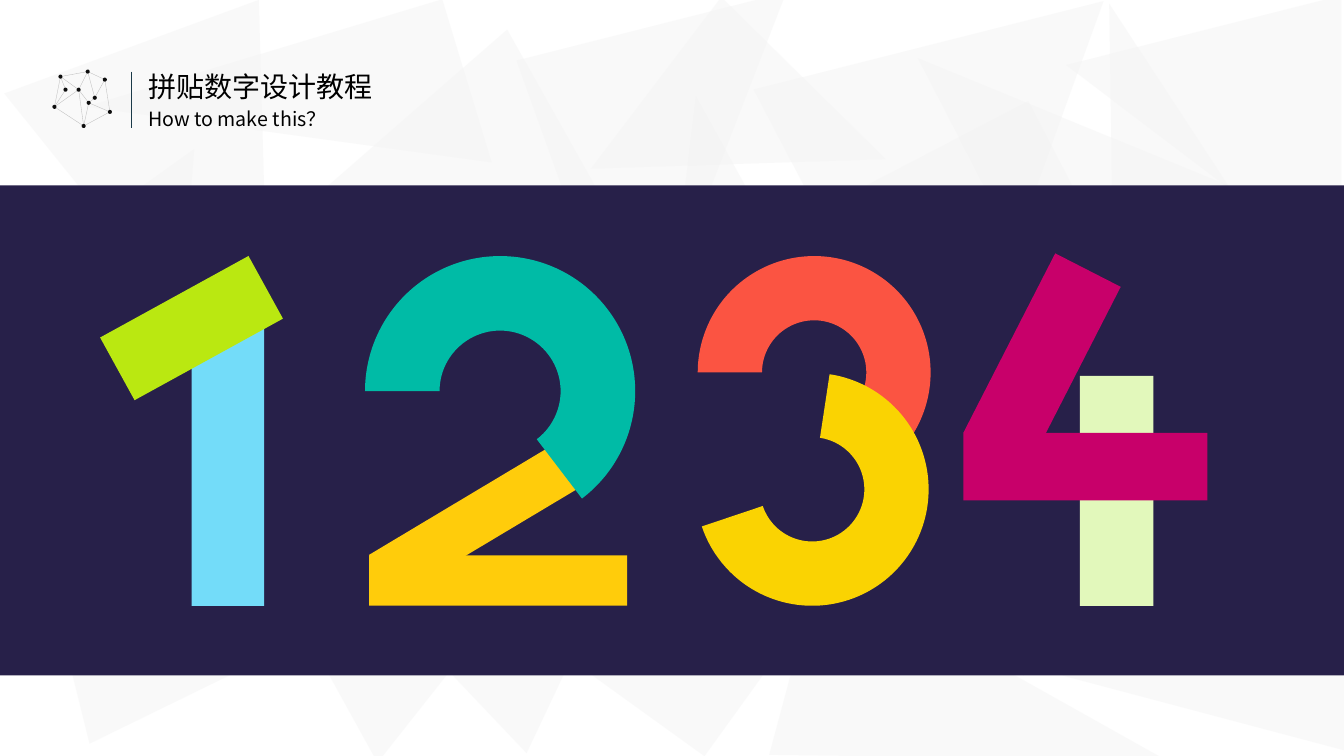
import pptx
import pptx.dml.color
import pptx.enum.shapes
import pptx.enum.text
import pptx.oxml.ns
import pptx.util
from lxml import etree

Inches = pptx.util.Inches
Pt = pptx.util.Pt
Kind = pptx.enum.shapes.MSO_SHAPE
qn = pptx.oxml.ns.qn


def color(code):
    return pptx.dml.color.RGBColor.from_string(code)


class Deck:
    font = "Noto Sans CJK SC"
    ink = "000000"

    def __init__(self, slide):
        self.slide = slide
        self.shapes = slide.shapes

    def group(self):
        """Put the next elements into a new group."""
        self.shapes = self.slide.shapes.add_group_shape().shapes

    def top(self):
        """Put the next elements straight on the slide."""
        self.shapes = self.slide.shapes

    def shape(self, kind, box, fill, turn=0, adj=(), alpha=None):
        item = self.shapes.add_shape(kind, *map(Inches, box))
        item.shadow.inherit = False
        item.rotation = turn
        item.fill.solid()
        item.fill.fore_color.rgb = color(fill)
        item.line.fill.background()
        for i, value in enumerate(adj):
            item.adjustments[i] = value
        if alpha is not None:
            tint = item.fill._xPr.find(".//" + qn("a:srgbClr"))
            etree.SubElement(tint, qn("a:alpha")).set("val", str(alpha * 1000))
        return item

    def rect(self, box, fill, turn=0):
        return self.shape(Kind.RECTANGLE, box, fill, turn)

    def arc(self, left, top, size, fill, start, end, turn=0):
        """Draw a ring part between two angles in degrees."""
        adj = (start * 0.6, end * 0.6, 0.276)
        return self.shape(Kind.BLOCK_ARC, (left, top, size, size), fill, turn, adj)

    def line(self, start, end, tone, width):
        item = self.shapes.add_connector(
            pptx.enum.shapes.MSO_CONNECTOR.STRAIGHT, *map(Inches, start + end))
        item.line.color.rgb = color(tone)
        item.line.width = Pt(width)
        etree.SubElement(item._element.spPr, qn("a:effectLst"))
        return item

    def text(self, words, box, size):
        item = self.shapes.add_textbox(*map(Inches, box))
        frame = item.text_frame
        frame.word_wrap = False
        frame.auto_size = pptx.enum.text.MSO_AUTO_SIZE.SHAPE_TO_FIT_TEXT
        run = frame.paragraphs[0].add_run()
        run.text = words
        run.font.size = Pt(size)
        run.font.name = self.font
        run.font.color.rgb = color(self.ink)
        east = etree.SubElement(run.font._element, qn("a:ea"))
        east.set("typeface", self.font)
        return item


# Backdrop triangles: left, top, width, height, turn, tip
SHARDS = [
    (1.34, 3.68, 1.64, 3.81, 107.3, 0.5),
    (1.72, 4.22, 1.64, 3.81, 76.1, 0.5),
    (0.65, 0.34, 2.69, 4, 159.8, 0.5),
    (1.72, 1.7, 1.64, 3.81, 46.5, 0.5),
    (4.89, 4.15, 1.76, 3.18, 46.5, 0.3),
    (3.71, 2.55, 2.76, 3.81, 139.8, 0.5),
    (7.06, 3.09, 2.76, 3.9, 278.9, 1),
    (5.99, 3.56, 2.27, 3.62, 35.8, 1),
    (9.91, 0.24, 2.52, 4.15, 331, 0.88),
    (5.24, 1.39, 2.76, 3.81, 331, 1),
    (6.08, 0.47, 2.29, 2.12, 224.6, 0.88),
    (7.9, 0.39, 3.58, 3.91, 165.8, 0.74),
    (5.5, 0.21, 2.76, 3.42, 165.8, 0.88),
    (3, 0.72, 2.76, 3.04, 240.7, 0.77),
    (10.21, 4.44, 2.76, 3.42, 267.4, 0.39),
    (-0.35, 1.7, 2.48, 1.88, 274.6, 0.36),
    (2.02, -0.51, 1.69, 3.69, 253.2, 1),
    (10.56, -0.03, 2.76, 2.73, 270, 0.75),
    (8.75, 5.14, 1.94, 3.81, 105, 0.5),
    (11.96, 2.79, 1.48, 1.85, 157.6, 0.5),
    (2.69, 5.39, 1.48, 1.97, 308.3, 0.56),
    (8.91, 0.29, 2.64, 3.51, 304.2, 0.72),
    (8.46, 1.43, 2.32, 1.95, 152.5, 0),
]

# Mesh icon: dot centers and the pairs they join
DOTS = {
    "a": (0.83, 1.25), "b": (0.88, 1.02), "c": (1.09, 1.11),
    "d": (0.94, 0.97), "e": (1.04, 0.79), "f": (0.87, 0.71),
    "g": (0.78, 0.89), "h": (0.6, 0.76), "i": (0.65, 0.89),
    "j": (0.54, 1.06),
}
LINKS = "ce ac ja hf fe jh ed ba db ga gj hi hg fg fd gb ij cb".split()
DOT = 0.04


def main():
    prs = pptx.Presentation()
    prs.slide_width = Inches(13.33)
    prs.slide_height = Inches(7.5)
    deck = Deck(prs.slides.add_slide(prs.slide_layouts[6]))

    # Backdrop
    for *box, turn, tip in SHARDS:
        deck.shape(Kind.ISOSCELES_TRIANGLE, box, "F2F2F2", turn, (tip,), 42)

    # Header
    deck.line((1.3, 0.71), (1.3, 1.27), "1B3A49", 0.5)
    deck.group()
    for start, end in LINKS:
        deck.line(DOTS[start], DOTS[end], "BFBFBF", 0.25)
    for x, y in DOTS.values():
        deck.shape(Kind.OVAL, (x - DOT / 2, y - DOT / 2, DOT, DOT), "0D0D0D")
    deck.top()
    deck.text("拼贴数字设计教程", box=(1.37, 0.64, 2.45, 0.44), size=20)
    deck.text("How to make this？", box=(1.37, 1.01, 2.05, 0.34), size=14)

    # Dark band
    deck.rect((0, 1.84, 13.33, 4.86), "272049")

    # Digit 1
    deck.group()
    deck.rect((1.9, 3, 0.72, 3.01), "73DCF9")
    deck.rect((1.06, 2.9, 1.68, 0.71), "BAE811", 331.2)

    # Digit 2
    deck.group()
    deck.rect((4.49, 4.04, 0.5, 2.22), "FFCC0B", 59.1)
    deck.arc(3.62, 2.54, 2.68, "00BBA6", 180, 52.69)
    deck.rect((4.69, 4.48, 0.5, 2.56), "FFCC0B", 90)

    # Digit 3
    deck.group()
    deck.arc(6.92, 2.54, 2.31, "FB5442", 180, 35.12)
    deck.arc(6.9, 3.7, 2.31, "FAD302", 169.9, 52.69, 108.7)

    # Digit 4
    deck.group()
    deck.rect((10.71, 3.73, 0.73, 2.28), "E2F8BB")
    deck.rect((9.97, 2.57, 0.73, 2), "C8006A", 27.1)
    deck.rect((10.43, 3.42, 0.67, 2.42), "C8006A", 90)

    prs.save("out.pptx")


if __name__ == "__main__":
    main()
